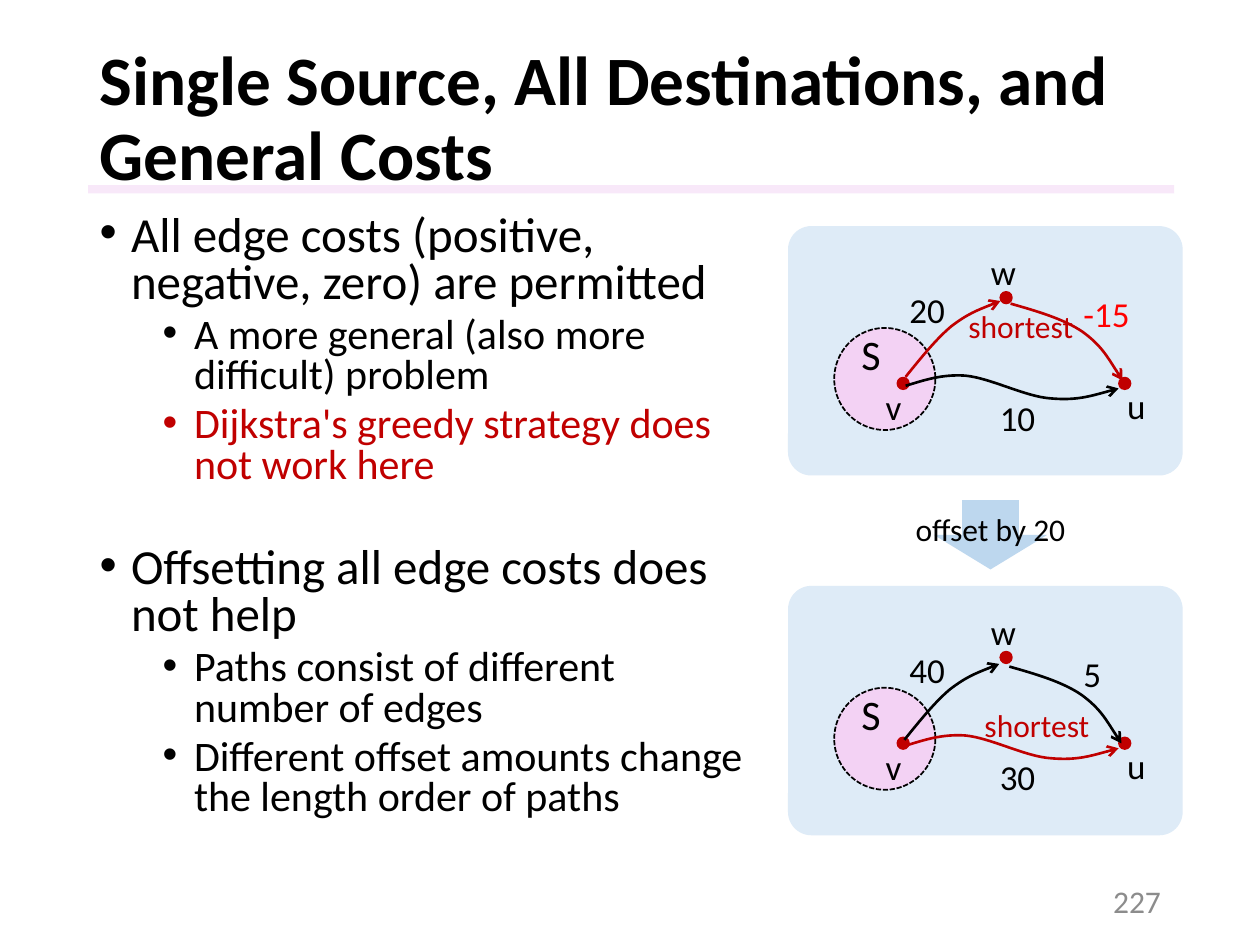
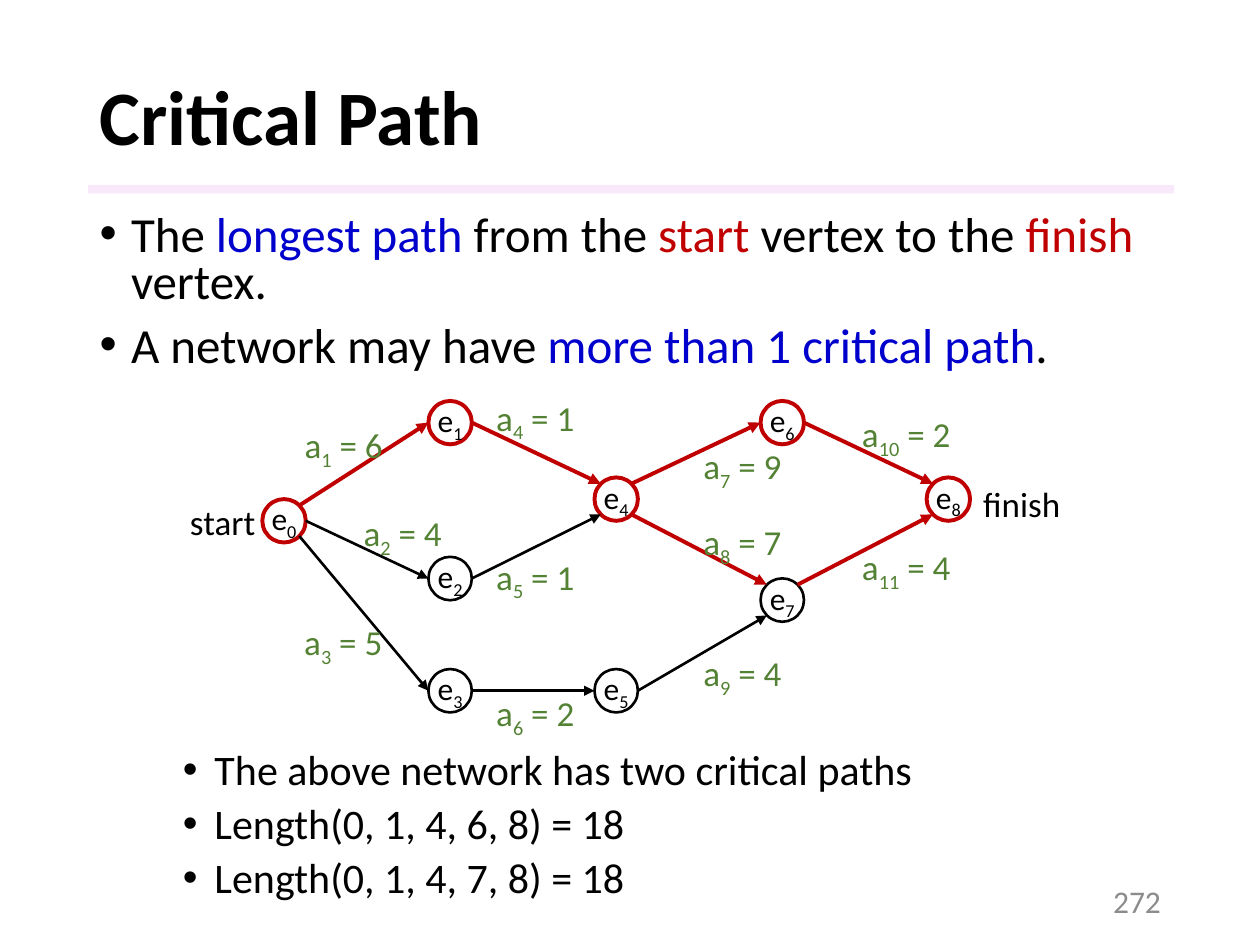
import copy

import pptx
import pptx.util
import pptx.dml.color
import pptx.enum.dml
import pptx.enum.shapes
import pptx.enum.text
import pptx.oxml
import pptx.oxml.ns
from lxml import etree

Pt = pptx.util.Pt
RGB = pptx.dml.color.RGBColor.from_string
Shape = pptx.enum.shapes.MSO_SHAPE
Align = pptx.enum.text.PP_ALIGN
Anchor = pptx.enum.text.MSO_ANCHOR
qn = pptx.oxml.ns.qn

colors = {
    "text": "000000", "critical": "C00000", "negative": "FF0000", "emphasis": "0000CC",
    "activity": "548235", "page": "8C8C8C", "pink": "F3D2F4", "panel": "DEEBF7",
    "offset": "BDD7EE",
}
styles = {
    "title": {"font": {"size": Pt(44), "bold": True}, "paragraph": {"line_spacing": 0.9}},
    "long title": {"font": {"size": Pt(39.6), "bold": True}, "paragraph": {"line_spacing": 0.9}},
    "point": {"font": {"size": Pt(28)}, "indent": 18,
              "paragraph": {"line_spacing": 0.8, "space_before": Pt(10)}},
    "new topic": {"font": {"size": Pt(28)}, "indent": 18,
                  "paragraph": {"line_spacing": 0.8, "space_before": Pt(34)}},
    "subpoint": {"font": {"size": Pt(24)}, "indent": 54,
                 "paragraph": {"level": 1, "line_spacing": 0.8, "space_before": Pt(5)}},
    "result": {"font": {"size": Pt(24)}, "indent": 54,
               "paragraph": {"level": 1, "line_spacing": 0.9, "space_before": Pt(5)}},
    "set": {"font": {"size": Pt(24)}, "paragraph": {"alignment": Align.LEFT}},
    "label": {"font": {"size": Pt(20)}},
    "note": {"font": {"size": Pt(18)}},
    "centered": {"font": {"size": Pt(18)}, "paragraph": {"alignment": Align.CENTER}},
    "page": {"font": {"size": Pt(18)}, "paragraph": {"alignment": Align.RIGHT}},
}


def write(shape, paragraphs, **frame_format):
    frame = shape.text_frame
    for name, value in {"word_wrap": True, **frame_format}.items():
        setattr(frame, name, value)
    for number, (style_name, runs) in enumerate(paragraphs):
        style = styles[style_name]
        paragraph = frame.add_paragraph() if number else frame.paragraphs[0]
        if "indent" in style:
            properties = paragraph._p.get_or_add_pPr()
            properties.set("marL", str(Pt(style["indent"])))
            properties.set("indent", str(-Pt(18)))
            etree.SubElement(properties, qn("a:buFont")).set("typeface", "Arial")
            etree.SubElement(properties, qn("a:buChar")).set("char", "•")
        for name, value in style.get("paragraph", {}).items():
            setattr(paragraph, name, value)
        if number == 0:
            paragraph.space_before = Pt(0)
        for words, color, *baseline in runs:
            run = paragraph.add_run()
            run.text = words
            for name, value in {"name": "Calibri", **style["font"]}.items():
                setattr(run.font, name, value)
            run.font.color.rgb = RGB(colors[color])
            if baseline:
                run.font._element.set("baseline", str(baseline[0]))


def paint(shape, fill=None, line=None, width=1, arrow=None):
    if hasattr(shape, "shadow"):
        shape.shadow.inherit = False
    else:
        etree.SubElement(shape._element.spPr, qn("a:effectLst"))
    if fill:
        shape.fill.solid()
        shape.fill.fore_color.rgb = RGB(colors[fill])
    elif hasattr(shape, "fill"):
        shape.fill.background()
    if line:
        shape.line.color.rgb = RGB(colors[line])
        shape.line.width = Pt(width)
    else:
        shape.line.fill.background()
    if arrow:
        tail = etree.SubElement(shape.line._get_or_add_ln(), qn("a:tailEnd"))
        tail.set("type", arrow)


deck = pptx.Presentation()
deck.slide_width, deck.slide_height = Pt(720), Pt(540)

contents = [
    ("long title", "Single Source, All Destinations, and General Costs", "227", (382, 402), [
        ("point", [("All edge costs (positive, negative, zero) are permitted", "text")]),
        ("subpoint", [("A more general (also more difficult) problem", "text")]),
        ("subpoint", [("Dijkstra's greedy strategy does not work here", "critical")]),
        ("new topic", [("Offsetting all edge costs does not help", "text")]),
        ("subpoint", [("Paths consist of different number of edges", "text")]),
        ("subpoint", [("Different offset amounts change the length order of paths", "text")]),
    ]),
    ("title", "Critical Path", "272", (621, 106), [
        ("point", [("The ", "text"), ("longest path ", "emphasis"), ("from the ", "text"),
                   ("start", "critical"), (" vertex to the ", "text"),
                   ("finish", "critical"), (" vertex.", "text")]),
        ("point", [("A network may have ", "text"),
                   ("more than 1 critical path", "emphasis"), (".", "text")]),
    ]),
]
slides = []
for title_style, title, page, (body_width, body_height), body in contents:
    slide = deck.slides.add_slide(deck.slide_layouts[6])
    slides.append(slide)
    band = slide.shapes.add_shape(Shape.RECTANGLE, Pt(50.4), Pt(105.8), Pt(620.6), Pt(4.8))
    paint(band, "pink")
    tint = band._element.spPr.find(qn("a:solidFill"))[0]
    etree.SubElement(tint, qn("a:alpha")).set("val", "50000")
    heading = slide.shapes.add_textbox(Pt(49.8), Pt(28.8), Pt(621), Pt(80))
    write(heading, [(title_style, [(title, "text")])], vertical_anchor=Anchor.MIDDLE)
    points = slide.shapes.add_textbox(Pt(49.8), Pt(119), Pt(body_width), Pt(body_height))
    write(points, body)
    page_number = slide.shapes.add_textbox(Pt(508.5), Pt(500.5), Pt(162), Pt(28.8))
    write(page_number, [("page", [(page, "page")])], vertical_anchor=Anchor.MIDDLE)

costs_slide, network_slide = slides
fitted = {"word_wrap": False, "auto_size": pptx.enum.text.MSO_AUTO_SIZE.SHAPE_TO_FIT_TEXT}

offset_arrow = costs_slide.shapes.add_shape(Shape.DOWN_ARROW, Pt(533.5), Pt(285.8), Pt(65), Pt(39.6))
paint(offset_arrow, "offset")
offset_label = costs_slide.shapes.add_textbox(Pt(515.2), Pt(288), Pt(101.5), Pt(29))
write(offset_label, [("centered", [("offset by 20", "text")])], **fitted)

curves = {
    "direct": [(517.5, 220.5), (527.8, 217.4), (538, 213.8), (551.5, 214.7), (566, 216),
               (586, 226.8), (600.5, 227.7), (615, 229), (627, 225.4), (639.2, 222)],
    "to w": [(517.5, 215.4), (526.3, 204.5), (535, 193.7), (543.6, 186.5),
             (553, 179.3), (562.3, 175.7), (571.7, 172)],
    "from w": [(577.5, 173.5), (592.6, 177.8), (607.7, 182.2), (618.5, 189.5),
               (629.3, 197.3), (635, 207.4), (641.5, 217.4)],
}
graphs = [
    (0, (0, 0), "20", "-15", "10", "negative", "critical", "text", (546.3, 172.1)),
    (205.6, (-0.7, 1.8), "40", "5", "30", "text", "text", "critical", (555.5, 194.4)),
]
for drop, nudge, cost_vw, cost_wu, cost_vu, wu_color, detour, direct, (short_x, short_y) in graphs:
    panel = costs_slide.shapes.add_shape(
        Shape.ROUNDED_RECTANGLE, Pt(450.3), Pt(129.2 + drop), Pt(225.5), Pt(142.5))
    panel.adjustments[0] = 0.093
    paint(panel, "panel")
    reached = costs_slide.shapes.add_shape(
        Shape.OVAL, Pt(476.7), Pt(187.4 + drop), Pt(57.8), Pt(58.3))
    paint(reached, "pink", "text")
    reached.line.dash_style = pptx.enum.dml.MSO_LINE.SQUARE_DOT
    write(reached, [("set", [("S", "text")])], vertical_anchor=Anchor.MIDDLE)
    set_name = reached.text_frame.paragraphs[0]
    set_name.add_line_break()
    set_name._p.find(qn("a:br")).append(copy.deepcopy(set_name.runs[0].font._element))
    for x, y in [(512.8, 215.8), (639.4, 215.8), (571.6, 166.8)]:
        vertex = costs_slide.shapes.add_shape(Shape.OVAL, Pt(x), Pt(y + drop), Pt(6.6), Pt(6.6))
        paint(vertex, "critical", "critical")
    for words, style, color, x, y, width in [
        ("v", "label", "text", 499, 217, 23.8),
        ("u", "label", "text", 637, 216.3, 25.2),
        ("w", "label", "text", 559.1, 139.5, 28.8),
        (cost_wu, "label", wu_color, 612, 163.7, 41 if len(cost_wu) > 1 else 24.5),
        (cost_vw, "label", "text", 512.6, 161.3, 35.3),
        (cost_vu, "label", "text", 564.2, 222.8, 35.3),
        ("shortest", "note", "critical", short_x, short_y, 74.9),
    ]:
        label = costs_slide.shapes.add_textbox(Pt(x), Pt(y + drop), Pt(width), Pt(31.5))
        write(label, [(style, [(words, color)])], **fitted)
    for route, color, (dx, dy) in [
        ("direct", direct, (0, 0)), ("to w", detour, nudge), ("from w", detour, nudge),
    ]:
        controls = [(Pt(x + dx), Pt(y + dy + drop)) for x, y in curves[route]]
        builder = costs_slide.shapes.build_freeform(*controls[0])
        builder.add_line_segments(controls[1:], close=False)
        edge = builder.convert_to_shape()
        paint(edge, None, color, 1.5, "arrow")
        outline = next(edge._element.iter(qn("a:path")))
        corners = outline.findall(qn("a:lnTo"))
        for first in range(0, len(corners), 3):
            bend = etree.SubElement(outline, qn("a:cubicBezTo"))
            for corner in corners[first:first + 3]:
                bend.append(corner[0])
                outline.remove(corner)

radius = 12.4
diagonal = radius * 0.5 ** 0.5
sites = {
    "left": (-radius, 0), "right": (radius, 0),
    "top left": (-diagonal, -diagonal), "top right": (diagonal, -diagonal),
    "bottom left": (-diagonal, diagonal), "bottom right": (diagonal, diagonal),
}
events = [(0, 297.6), (1, 241.5), (1, 330.6), (1, 394.7), (2, 285.2),
          (2, 394.7), (3, 241.5), (3, 342.9), (4, 285.2)]
centers = [(162.3 + 94.9 * column, y) for column, y in events]
for number, (x, y) in enumerate(centers):
    critical = number in (0, 1, 4, 6, 8)
    event = network_slide.shapes.add_shape(
        Shape.OVAL, Pt(x - radius), Pt(y - radius), Pt(2 * radius), Pt(2 * radius))
    paint(event, None, "critical" if critical else "text", 2.25 if critical else 1.5)
    write(event, [("centered", [("e", "text"), (str(number), "text", -25000)])],
          vertical_anchor=Anchor.MIDDLE, margin_left=0, margin_right=0)

activities = [
    (0, "top right", 1, "left", True, 6, 167, 238.3),
    (0, "right", 2, "left", False, 4, 200.7, 288.7),
    (0, "bottom right", 3, "left", False, 5, 166.8, 351.1),
    (1, "right", 4, "top left", True, 1, 276.5, 222.8),
    (2, "right", 4, "bottom left", False, 1, 276.5, 313.6),
    (3, "right", 5, "left", False, 2, 276.5, 391.7),
    (4, "top right", 6, "left", True, 9, 394.8, 250.6),
    (4, "bottom right", 7, "top left", True, 7, 394.8, 293.8),
    (5, "right", 7, "bottom left", False, 4, 394.8, 368.6),
    (6, "right", 8, "top left", True, 2, 485.5, 232.1),
    (7, "top right", 8, "bottom left", True, 4, 485.5, 308.2),
]
for number, (start, exit_site, finish, entry_site, critical, days, x, y) in enumerate(activities, 1):
    ends = [Pt(center + shift)
            for event, site in [(start, exit_site), (finish, entry_site)]
            for center, shift in zip(centers[event], sites[site])]
    activity = network_slide.shapes.add_connector(pptx.enum.shapes.MSO_CONNECTOR.STRAIGHT, *ends)
    paint(activity, None, "critical" if critical else "text", 2.25 if critical else 1.5, "triangle")
    duration = network_slide.shapes.add_textbox(
        Pt(x), Pt(y), Pt(60.5 if number < 10 else 67), Pt(31.5))
    write(duration, [("label", [("a", "activity"), (str(number), "activity", -25000),
                                (f" = {days}", "activity")])], **fitted)

for words, x, y, width in [("start", 101.5, 282.2, 52.6), ("finish", 554.7, 272.2, 59)]:
    terminal = network_slide.shapes.add_textbox(Pt(x), Pt(y), Pt(width), Pt(31.5))
    write(terminal, [("label", [(words, "text")])], **fitted)

results = network_slide.shapes.add_textbox(Pt(61.5), Pt(424.4), Pt(621), Pt(98))
write(results, [("result", [(words, "text")]) for words in [
    "The above network has two critical paths",
    "Length(0, 1, 4, 6, 8) = 18",
    "Length(0, 1, 4, 7, 8) = 18",
]])

deck.save("out.pptx")
